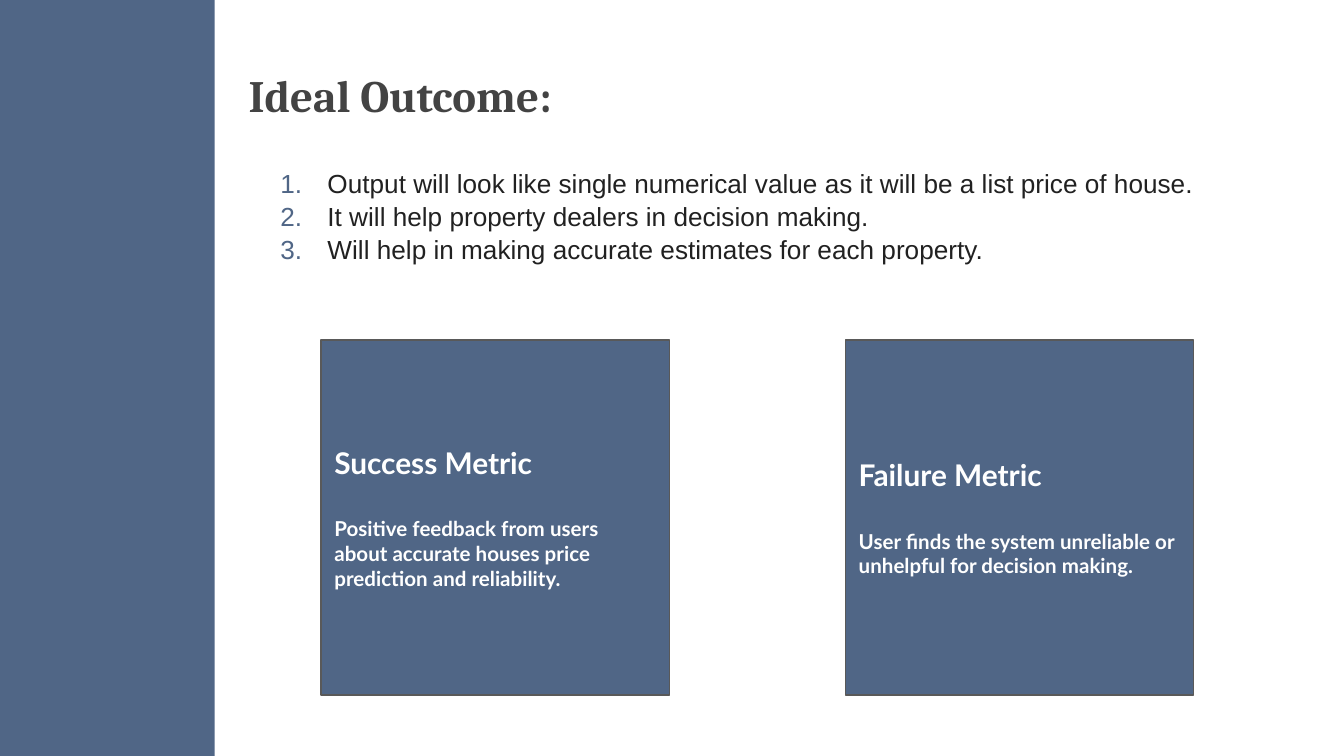
from dataclasses import dataclass

from lxml import etree
from pptx import Presentation
from pptx.dml.color import RGBColor
from pptx.enum.shapes import MSO_SHAPE
from pptx.enum.text import MSO_ANCHOR, PP_ALIGN
from pptx.oxml.ns import qn
from pptx.slide import Slide
from pptx.util import Cm, Pt

RECTANGLE = MSO_SHAPE.RECTANGLE
MIDDLE, BOTTOM = MSO_ANCHOR.MIDDLE, MSO_ANCHOR.BOTTOM
LEFT = PP_ALIGN.LEFT

COLORS = {
    "slate": "506686",
    "outline": "595959",
    "heading": "434343",
    "body": "212121",
    "white": "FFFFFF",
}
WIDTH, HEIGHT = 25.4, 14.29
CARD_LEFT, CARD_TOP, CARD_STEP = 6.07, 6.43, 9.91
CARD_WIDTH, CARD_HEIGHT = 6.58, 6.71

GOALS = [
    "Output will look like single numerical value as it will be a list price of house.",
    "It will help property dealers in decision making.",
    "Will help in making accurate estimates for each property.",
]
METRICS = [
    ("Success Metric",
     "Positive feedback from users about accurate houses price prediction and reliability."),
    ("Failure Metric",
     "User finds the system unreliable or unhelpful for decision making."),
]


def rgb(name):
    """Return the named colour."""
    return RGBColor.from_string(COLORS[name])


def write(paragraph, text, *, size, font, color, bold=False, before=0, spacing=1.0):
    """Put formatted text into a paragraph."""
    paragraph.alignment = LEFT
    paragraph.space_before = Pt(before)
    paragraph.line_spacing = spacing
    run = paragraph.add_run()
    run.text = text
    run.font.size = Pt(size)
    run.font.name = font
    run.font.bold = bold
    run.font.color.rgb = rgb(color)


def number(paragraph, color):
    """Give a paragraph an automatic coloured number and a hanging indent."""
    properties = paragraph._p.get_or_add_pPr()
    properties.set("marL", str(Cm(1.27)))
    properties.set("indent", str(-Cm(0.89)))
    tint = etree.SubElement(properties, qn("a:buClr"))
    etree.SubElement(tint, qn("a:srgbClr"), val=COLORS[color])
    etree.SubElement(properties, qn("a:buAutoNum"), type="arabicPeriod")


@dataclass
class Deck:
    """Hold the style and the current slide."""

    slide: Slide
    inset: float = 0.25
    title_font: str = "Cambria"
    list_font: str = "Arial"
    card_font: str = "Lato"

    def frame(self, shape, anchor):
        """Prepare the text frame of a shape."""
        frame = shape.text_frame
        frame.word_wrap = True
        frame.vertical_anchor = anchor
        frame.margin_left = frame.margin_right = Cm(self.inset)
        frame.margin_top = frame.margin_bottom = Cm(self.inset)
        return frame

    def panel(self, left, top, width, height, outline=None):
        """Add a filled rectangle."""
        panel = self.slide.shapes.add_shape(
            RECTANGLE, Cm(left), Cm(top), Cm(width), Cm(height))
        panel.shadow.inherit = False
        panel.fill.solid()
        panel.fill.fore_color.rgb = rgb("slate")
        if outline:
            panel.line.color.rgb = rgb(outline)
            panel.line.width = Pt(0.75)
        else:
            panel.line.fill.background()
        return panel

    def title(self, text, left, top, width, height):
        """Add the slide heading."""
        title = self.slide.shapes.add_textbox(Cm(left), Cm(top), Cm(width), Cm(height))
        write(self.frame(title, MIDDLE).paragraphs[0], text,
              size=24, font=self.title_font, color="heading", bold=True)

    def numbered_list(self, items, left, top, width, height):
        """Add a numbered list."""
        goals = self.slide.shapes.add_textbox(Cm(left), Cm(top), Cm(width), Cm(height))
        frame = self.frame(goals, BOTTOM)
        for index, item in enumerate(items):
            paragraph = frame.add_paragraph() if index else frame.paragraphs[0]
            number(paragraph, "slate")
            write(paragraph, item, size=14, font=self.list_font, color="body", spacing=1.05)

    def card(self, heading, detail, left, top, width, height):
        """Add a metric card with a heading and its detail."""
        frame = self.frame(self.panel(left, top, width, height, "outline"), MIDDLE)
        write(frame.paragraphs[0], heading,
              size=16, font=self.card_font, color="white", bold=True)
        write(frame.add_paragraph(), detail,
              size=11, font=self.card_font, color="white", bold=True, before=19.2)


def main():
    """Build and save the slide."""
    presentation = Presentation()
    presentation.slide_width, presentation.slide_height = Cm(WIDTH), Cm(HEIGHT)
    deck = Deck(presentation.slides.add_slide(presentation.slide_layouts[6]))
    deck.panel(0, 0, 4.06, HEIGHT)
    deck.title("Ideal Outcome:", 4.45, 0.56, 9.32, 2.44)
    deck.numbered_list(GOALS, 4.67, 1.93, 20.27, 3.33)
    for index, (heading, detail) in enumerate(METRICS):
        deck.card(heading, detail, CARD_LEFT + index * CARD_STEP, CARD_TOP,
                  CARD_WIDTH, CARD_HEIGHT)
    presentation.save("out.pptx")


if __name__ == "__main__":
    main()
